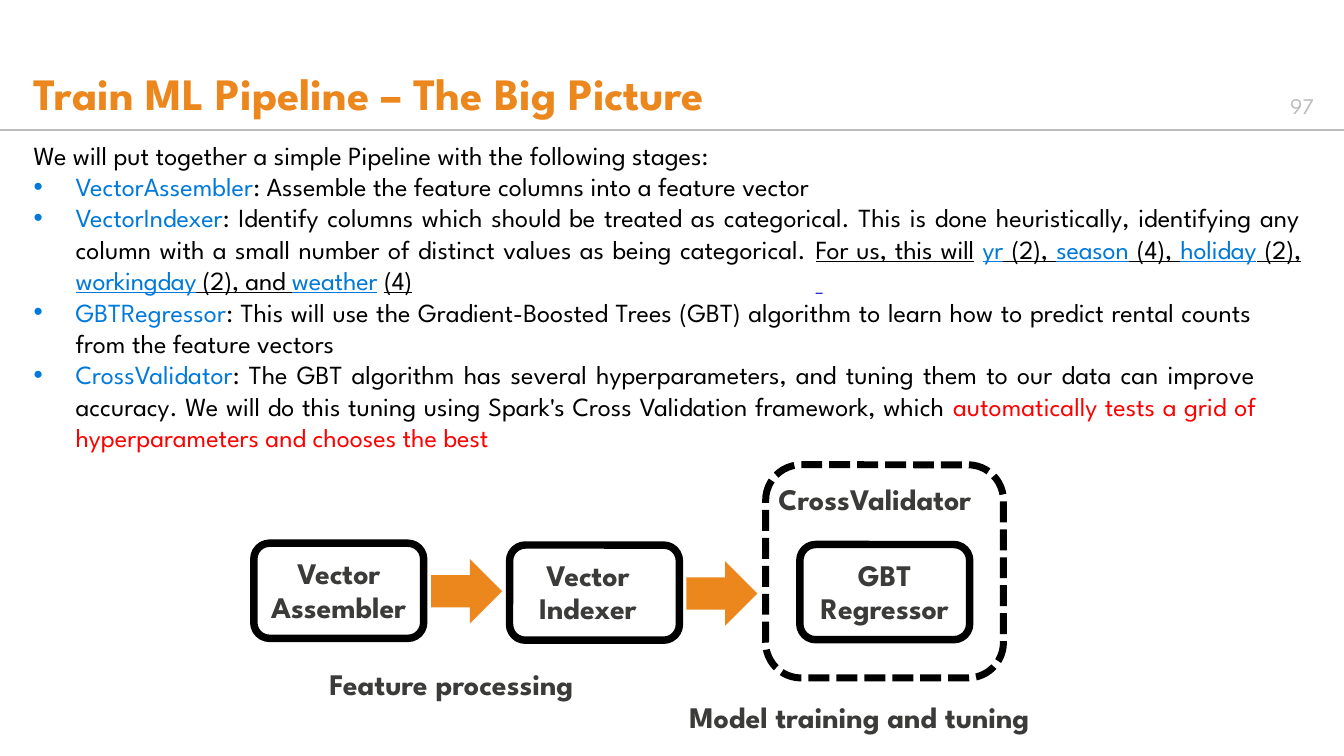
from dataclasses import dataclass

from lxml.etree import SubElement
from pptx import Presentation
from pptx.dml.color import RGBColor
from pptx.enum.dml import MSO_LINE_DASH_STYLE as Dash
from pptx.enum.shapes import MSO_CONNECTOR as Connector, MSO_SHAPE as Shape
from pptx.enum.text import MSO_ANCHOR as Anchor, MSO_AUTO_SIZE as AutoSize, PP_ALIGN as Align
from pptx.oxml.ns import qn
from pptx.util import Pt


@dataclass(frozen=True)
class Theme:
    font: str = "League Spartan"
    orange: str = "EB871D"
    blue: str = "0079DB"
    red: str = "FF0000"
    black: str = "000000"
    charcoal: str = "3B3B3A"
    grey: str = "BABBBD"
    violet: str = "3333CC"
    title_size: float = 24
    label_size: float = 16
    body_size: float = 14
    number_size: float = 12


THEME = Theme()
BULLET_INDENT = 22.5
STAGE_SIZE = (91, 51)
ARROW_SIZE = (38, 34.5)

INTRO = "We will put together a simple Pipeline with the following stages:"

# Each stage: right margin in points, then its (text, colour, underlined) runs
STAGES = [
    (0, [("VectorAssembler", THEME.blue, False),
         (": Assemble the feature columns into a feature vector", THEME.black, False)]),
    (0, [("VectorIndexer", THEME.blue, False),
         (": Identify columns which should be treated as categorical. This is done "
          "heuristically, identifying any column with a small number of distinct values "
          "as being categorical. ", THEME.black, False),
         ("For us, this will", THEME.black, True),
         (" ", THEME.black, False),
         ("yr", THEME.blue, True),
         (" (2), ", THEME.black, True),
         ("season", THEME.blue, True),
         (" (4), ", THEME.black, True),
         ("holiday", THEME.blue, True),
         (" (2), ", THEME.black, True),
         ("workingday", THEME.blue, True),
         (" (2), and ", THEME.black, True),
         ("weather", THEME.blue, True),
         (" ", THEME.black, False),
         ("(4)", THEME.black, True)]),
    (26, [("GBTRegressor", THEME.blue, False),
          (": This will use the Gradient-Boosted Trees (GBT) algorithm to learn how to "
           "predict rental counts from the feature vectors", THEME.black, False)]),
    (24, [("CrossValidator", THEME.blue, False),
          (": The GBT algorithm has several hyperparameters, and tuning them to our data "
           "can improve accuracy. We will do this tuning using Spark's Cross Validation "
           "framework, which ", THEME.black, False),
          ("automatically tests a grid of hyperparameters and chooses the best",
           THEME.red, False)]),
]


def set_values(target, values):
    for name, value in values.items():
        setattr(target, name, value)


def place(shape, left, top, width, height):
    set_values(shape, {"left": Pt(left), "top": Pt(top),
                       "width": Pt(width), "height": Pt(height)})


def prepare_frame(frame, anchor=Anchor.TOP, top=0, right=0):
    set_values(frame, {"word_wrap": True, "auto_size": AutoSize.NONE,
                       "vertical_anchor": anchor, "margin_left": 0, "margin_bottom": 0,
                       "margin_top": Pt(top), "margin_right": Pt(right)})
    return frame


def add_run(paragraph, text, size, color, bold=False, underline=False):
    run = paragraph.add_run()
    run.text = text
    set_values(run.font, {"name": THEME.font, "size": Pt(size),
                          "bold": bold, "underline": underline})
    run.font.color.rgb = RGBColor.from_string(color)
    return run


def format_paragraph(paragraph, align, before=0, line=None):
    set_values(paragraph, {"alignment": align, "space_before": Pt(before),
                           "space_after": Pt(0)})
    if line:
        paragraph.line_spacing = Pt(line)


def set_bullet(paragraph, right_margin=0, char=None):
    props = paragraph._p.get_or_add_pPr()
    indent = Pt(BULLET_INDENT) if char else 0
    for name, value in {"marL": indent, "indent": -indent, "marR": Pt(right_margin)}.items():
        props.set(name, str(int(value)))
    if char:
        SubElement(props, qn("a:buChar")).set("char", char)
    else:
        SubElement(props, qn("a:buNone"))


def add_title(slide, text):
    title = slide.shapes.title
    place(title, 18, 7, 600, 58.5)
    paragraph = prepare_frame(title.text_frame, top=28).paragraphs[0]
    format_paragraph(paragraph, Align.LEFT, before=1)
    add_run(paragraph, text, THEME.title_size, THEME.orange, bold=True)


def add_stage_list(slide):
    body = slide.placeholders[1]
    place(body, 18, 73.5, 679, 172)
    frame = prepare_frame(body.text_frame, top=1)
    intro = frame.paragraphs[0]
    format_paragraph(intro, Align.JUSTIFY, before=1)
    set_bullet(intro)
    add_run(intro, INTRO, THEME.body_size, THEME.black)
    for right_margin, runs in STAGES:
        item = frame.add_paragraph()
        format_paragraph(item, Align.JUSTIFY)
        set_bullet(item, right_margin, "•")
        for text, color, underlined in runs:
            run = add_run(item, text, THEME.body_size, color, underline=underlined)
            if underlined:  # slightly condensed so the line holds
                run.font._element.set("spc", "-10")


def add_label(slide, text, left, top, width, size=THEME.label_size,
              color=THEME.charcoal, bold=True, align=Align.LEFT):
    label = slide.shapes.add_textbox(Pt(left), Pt(top), Pt(width), Pt(18))
    paragraph = prepare_frame(label.text_frame, Anchor.MIDDLE).paragraphs[0]
    format_paragraph(paragraph, align)
    add_run(paragraph, text, size, color, bold)


def add_block(slide, kind, bounds, fill=None, line_width=None, dash=None):
    block = slide.shapes.add_shape(kind, *map(Pt, bounds))
    block.shadow.inherit = False
    if fill:
        block.fill.solid()
        block.fill.fore_color.rgb = RGBColor.from_string(fill)
    else:
        block.fill.background()
    if line_width:
        block.line.color.rgb = RGBColor.from_string(THEME.black)
        set_values(block.line, {"width": Pt(line_width), "dash_style": dash})
    else:
        block.line.fill.background()
    return block


def add_stage(slide, lines, left, top, right_inset=0):
    box = add_block(slide, Shape.ROUNDED_RECTANGLE, (left, top, *STAGE_SIZE), line_width=4)
    frame = prepare_frame(box.text_frame, Anchor.MIDDLE, right=right_inset)
    for index, text in enumerate(lines):
        paragraph = frame.add_paragraph() if index else frame.paragraphs[0]
        format_paragraph(paragraph, Align.CENTER, line=17.8)
        add_run(paragraph, text, THEME.label_size, THEME.charcoal, bold=True)


def add_rule(slide, y, width):
    rule = slide.shapes.add_connector(Connector.STRAIGHT, 0, Pt(y), Pt(width), Pt(y))
    rule.line.color.rgb = RGBColor.from_string(THEME.grey)
    rule.line.width = Pt(1)
    SubElement(rule._element.spPr, qn("a:effectLst"))


def main():
    deck = Presentation()
    set_values(deck, {"slide_width": Pt(720), "slide_height": Pt(405)})
    slide = deck.slides.add_slide(deck.slide_layouts[1])

    # Header
    add_title(slide, "Train ML Pipeline – The Big Picture")
    add_label(slide, "97", 684, 47.5, 20, THEME.number_size, THEME.grey,
              bold=False, align=Align.RIGHT)
    add_rule(slide, 69.75, 720)

    # Pipeline stages in words
    add_stage_list(slide)
    add_block(slide, Shape.RECTANGLE, (437, 156.8, 3.8, 0.7), fill=THEME.violet)

    # Pipeline diagram
    add_stage(slide, ["Vector", "Assembler"], 136, 291)
    add_stage(slide, ["Vector", "Indexer"], 273, 292, right_inset=7)
    add_stage(slide, ["GBT", "Regressor"], 428.5, 291.7)
    for left, top in [(231, 299.5), (367.7, 300.7)]:
        add_block(slide, Shape.RIGHT_ARROW, (left, top, *ARROW_SIZE), fill=THEME.orange)
    add_block(slide, Shape.ROUNDED_RECTANGLE, (410.2, 249, 127.4, 114.2),
              line_width=3.75, dash=Dash.SQUARE_DOT)

    # Diagram captions
    add_label(slide, "CrossValidator", 417, 258, 115)
    add_label(slide, "Feature processing", 176.5, 357.3, 160)
    add_label(slide, "Model training and tuning", 369.3, 374.8, 210)

    deck.save("out.pptx")


if __name__ == "__main__":
    main()
